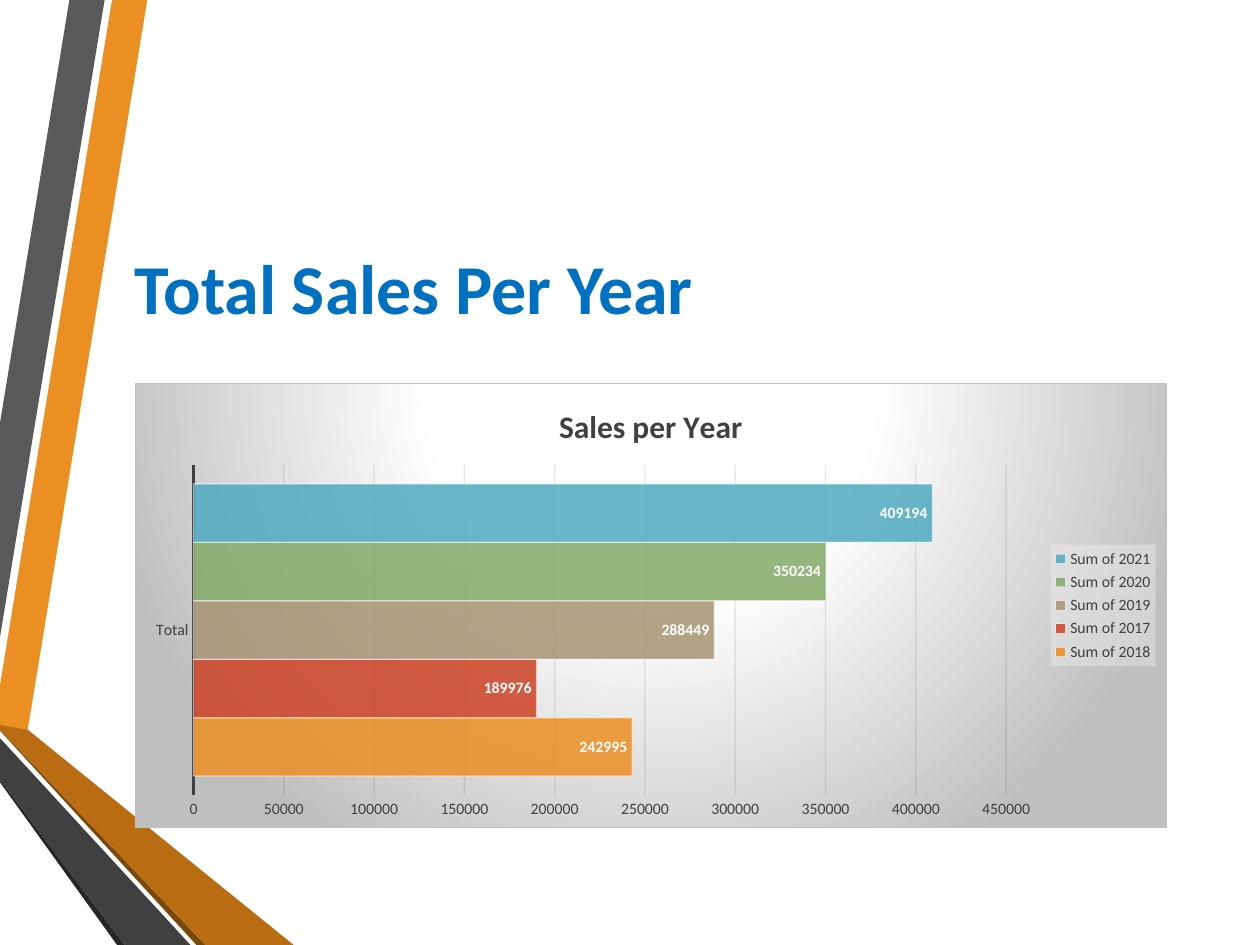
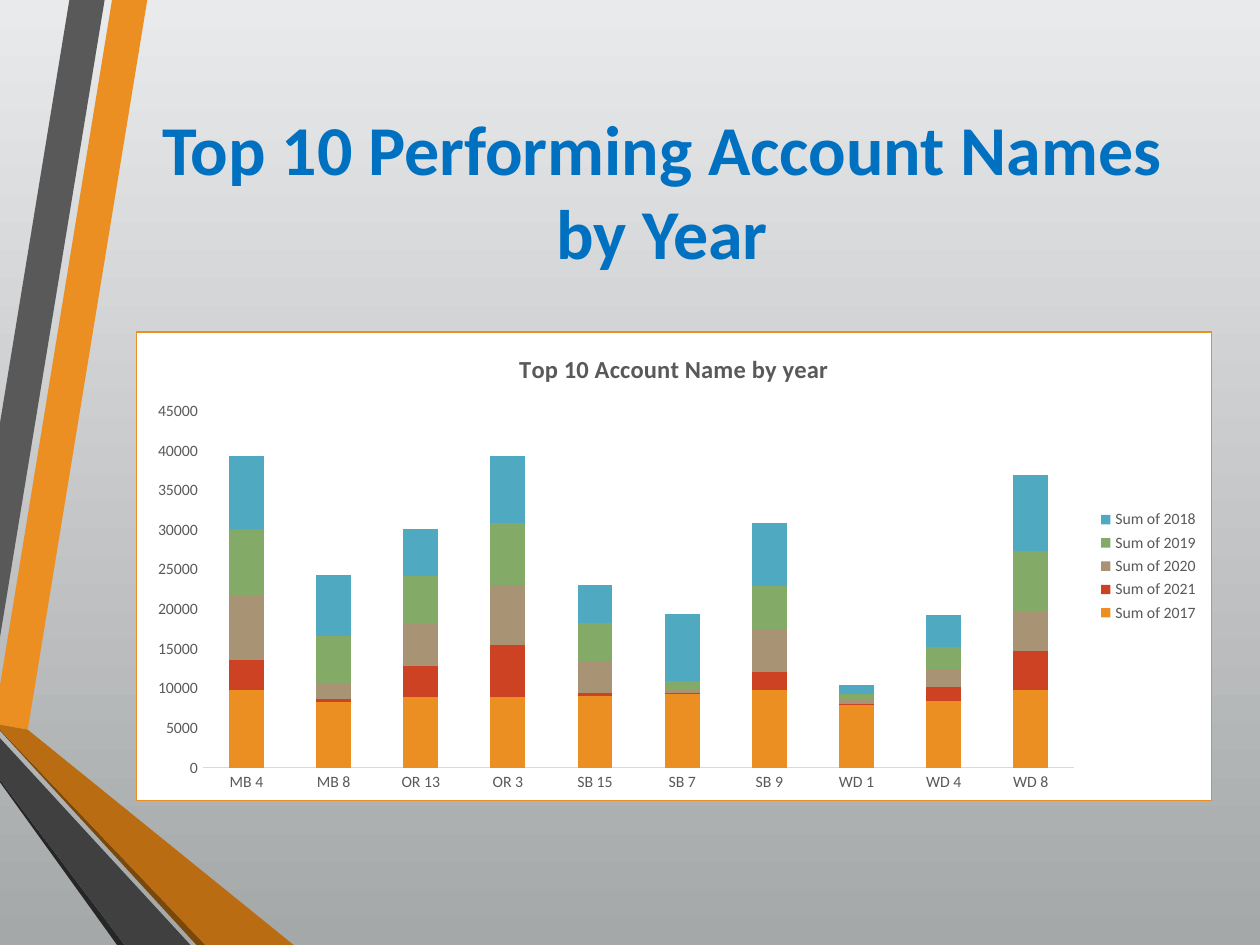
"""Build two sales slides with a shared band design, title style and chart style."""
from lxml.etree import SubElement
from pptx import Presentation
from pptx.chart.data import CategoryChartData
from pptx.dml.color import RGBColor as RGB
from pptx.enum.chart import XL_CHART_TYPE as CT, XL_LABEL_POSITION as LP
from pptx.enum.chart import XL_LEGEND_POSITION as LEG, XL_TICK_MARK as TM
from pptx.enum.text import MSO_ANCHOR as MA, MSO_AUTO_SIZE as AUTO, PP_ALIGN as AL
from pptx.oxml import parse_xml
from pptx.oxml.ns import nsdecls, qn
from pptx.util import Cm, Pt

FONT = "Calibri"
C = {
    "title": "0070C0", "white": "FFFFFF", "silver": "BFBFBF",
    "orange": "EB8F22", "red": "CD4223", "tan": "A89374", "green": "83AA67", "blue": "4FA9C1",
    "rust": "B96C11", "brown": "7B480B",
    "gray": "595959", "charcoal": "404040", "coal": "262626", "ink": "0D0D0D",
    "rule": "D9D9D9", "legend": "F2F2F2", "bg_top": "E9EAEB", "bg_bottom": "A5A8A9",
}
SERIES_COLORS = ["orange", "red", "tan", "green", "blue"]
BANDS = [
    ("orange", [(0, 13.82), (0, 14.61), (0.56, 14.71), (2.97, 0), (2.26, 0)]),
    ("gray", [(2.11, 0), (1.4, 0), (0, 8.53), (0, 12.85)]),
    ("coal", [(0, 15.72), (0, 15.77), (2.36, 19.05), (2.51, 19.05)]),
    ("brown", [(0, 14.71), (0, 14.73), (3.96, 19.05), (4.14, 19.05)]),
    ("rust", [(0, 14.71), (4.14, 19.05), (5.92, 19.05), (0.56, 14.71), (0, 14.61)]),
    ("charcoal", [(0, 15.72), (2.51, 19.05), (3.84, 19.05), (0, 14.88)]),
]
YEAR_TOTALS = {
    "Sum of 2018": [242995],
    "Sum of 2017": [189976],
    "Sum of 2019": [288449],
    "Sum of 2020": [350234],
    "Sum of 2021": [409194],
}
ACCOUNTS = ["MB 4", "MB 8", "OR 13", "OR 3", "SB 15", "SB 7", "SB 9", "WD 1", "WD 4", "WD 8"]
ACCOUNT_SALES = {
    "Sum of 2017": [9800, 8300, 8900, 8900, 9100, 9300, 9800, 8000, 8400, 9800],
    "Sum of 2021": [3800, 400, 4000, 6600, 300, 100, 2300, 100, 1800, 4900],
    "Sum of 2020": [8100, 1900, 5300, 7600, 4100, 400, 5300, 500, 2200, 5000],
    "Sum of 2019": [8500, 6000, 6000, 7800, 4800, 1100, 5500, 700, 2800, 7700],
    "Sum of 2018": [9100, 7700, 5900, 8400, 4800, 8500, 8000, 1200, 4100, 9600],
}


def rgb(name):
    return RGB.from_string(C[name])


def set_attrs(obj, values):
    for key, value in values.items():
        setattr(obj, key, value)


def set_font(font, size, color, bold=False):
    set_attrs(font, {"name": FONT, "size": Pt(size), "bold": bold})
    font.color.rgb = rgb(color)


def set_line(line, color, width=0.75):
    line.color.rgb = rgb(color)
    line.width = Pt(width)


def set_alpha(parent, percent):
    color = next(parent.iter(qn("a:srgbClr")))
    SubElement(color, qn("a:alpha")).set("val", str(percent * 1000))


def solid_xml(color, alpha=100):
    return (f'<a:solidFill><a:srgbClr val="{C[color]}"><a:alpha val="{alpha * 1000}"/>'
            '</a:srgbClr></a:solidFill>')


def radial_xml():
    stops = "".join(f'<a:gs pos="{pos * 1000}"><a:srgbClr val="{C[color]}"/></a:gs>'
                    for pos, color in [(0, "white"), (39, "white"), (100, "silver")])
    return (f'<a:gradFill><a:gsLst>{stops}</a:gsLst><a:path path="circle">'
            '<a:fillToRect l="50000" t="-80000" r="50000" b="180000"/></a:path></a:gradFill>')


def add_area_format(before, fill, border=None):
    line = f'<a:ln w="{Pt(0.75)}">{solid_xml(border)}</a:ln>' if border else ""
    before.addnext(parse_xml(f'<c:spPr {nsdecls("c", "a")}>{fill}{line}</c:spPr>'))


def add_bands(prs, slide):
    """Draw the bands and move them to the master, behind its placeholders."""
    tree = prs.slide_master.shapes._spTree
    for i, (color, points) in enumerate(BANDS):
        start, *rest = [(Cm(x), Cm(y)) for x, y in points]
        builder = slide.shapes.build_freeform(*start)
        builder.add_line_segments(rest)
        sp = builder.convert_to_shape()
        sp.shadow.inherit = False
        sp.fill.solid()
        sp.fill.fore_color.rgb = rgb(color)
        sp.line.fill.background()
        tree.insert(2 + i, sp._element)


def add_title(slide, text, box, frame, para):
    sp = slide.shapes.title
    set_attrs(sp, dict(zip(("left", "top", "width", "height"), map(Cm, box))))
    tf = sp.text_frame
    set_attrs(tf, {"word_wrap": True, "auto_size": AUTO.NONE, **frame})
    p = tf.paragraphs[0]
    set_attrs(p, para)
    r = p.add_run()
    r.text = text
    set_font(r.font, 40, "title", True)


def add_sales_chart(slide, kind, box, cats, series, title, title_size, color, gap):
    data = CategoryChartData()
    data.categories = cats
    for name, values in series.items():
        data.add_series(name, values)
    chart = slide.shapes.add_chart(kind, *map(Cm, box), data).chart
    set_font(chart.font, 9, color)
    set_attrs(chart, {"has_title": True, "has_legend": True})
    r = chart.chart_title.text_frame.paragraphs[0].add_run()
    r.text = title
    set_font(r.font, title_size, color, True)
    set_attrs(chart.legend, {"position": LEG.RIGHT, "include_in_layout": False})
    set_font(chart.legend.font, 9, color)
    for axis in (chart.category_axis, chart.value_axis):
        set_attrs(axis, {"major_tick_mark": TM.NONE, "minor_tick_mark": TM.NONE,
                         "has_major_gridlines": False})
        set_font(axis.tick_labels.font, 9, color)
    chart.value_axis.format.line.fill.background()
    set_attrs(chart.plots[0], {"gap_width": gap, "vary_by_categories": False})
    for ser, fill in zip(chart.plots[0].series, SERIES_COLORS):
        ser.format.fill.solid()
        ser.format.fill.fore_color.rgb = rgb(fill)
    return chart


def style_year_chart(chart):
    """Apply the translucent bars, value labels, gridlines and radial background."""
    for ser in chart.plots[0].series:
        set_line(ser.format.line, "white")
        props = ser._element.spPr
        set_alpha(props, 85)
        set_alpha(props.find(qn("a:ln")), 50)
        labels = ser.data_labels
        set_attrs(labels, {"show_value": True, "position": LP.INSIDE_END})
        set_font(labels.font, 9, "white", True)
    set_line(chart.category_axis.format.line, "charcoal", 1.5)
    axis = chart.value_axis
    axis.has_major_gridlines = True
    set_line(axis.major_gridlines.format.line, "ink")
    set_alpha(axis._element.find(qn("c:majorGridlines")), 10)
    space = chart._chartSpace
    add_area_format(space.find(qn("c:chart")), radial_xml(), "silver")
    add_area_format(chart.legend._element.find(qn("c:overlay")), solid_xml("legend", 39))


def style_account_chart(chart):
    chart.plots[0].overlap = 100
    set_line(chart.category_axis.format.line, "rule")
    add_area_format(chart._chartSpace.find(qn("c:chart")), solid_xml("white"), "orange")


def set_gradient(slide):
    fill = slide.background.fill
    fill.gradient()
    fill.gradient_angle = 270
    for stop, color in zip(fill.gradient_stops, ("bg_top", "bg_bottom")):
        stop.color.rgb = rgb(color)


def main():
    prs = Presentation()
    set_attrs(prs, {"slide_width": Cm(25.4), "slide_height": Cm(19.05)})
    layout = prs.slide_layouts.get_by_name("Title Only")

    slide = prs.slides.add_slide(layout)
    add_bands(prs, slide)
    add_title(slide, "Total Sales Per Year", (2.72, 1.27, 21.41, 5.51),
              {"vertical_anchor": MA.BOTTOM, "margin_left": 0, "margin_right": 0},
              {"alignment": AL.LEFT, "line_spacing": 0.9})
    chart = add_sales_chart(slide, CT.BAR_CLUSTERED, (2.72, 7.72, 20.8, 8.97), ["Total"],
                            YEAR_TOTALS, "Sales per Year", 18, "charcoal", 65)
    style_year_chart(chart)

    slide = prs.slides.add_slide(layout)
    set_gradient(slide)
    add_title(slide, "Top 10 Performing Account Names by Year", (2.74, 1.9, 21.21, 3.84),
              {"vertical_anchor": MA.MIDDLE}, {"alignment": AL.CENTER})
    chart = add_sales_chart(slide, CT.COLUMN_STACKED, (2.74, 6.68, 21.69, 9.47), ACCOUNTS,
                            ACCOUNT_SALES, "Top 10 Account Name by year", 14, "gray", 150)
    style_account_chart(chart)
    prs.save("out.pptx")


if __name__ == "__main__":
    main()
